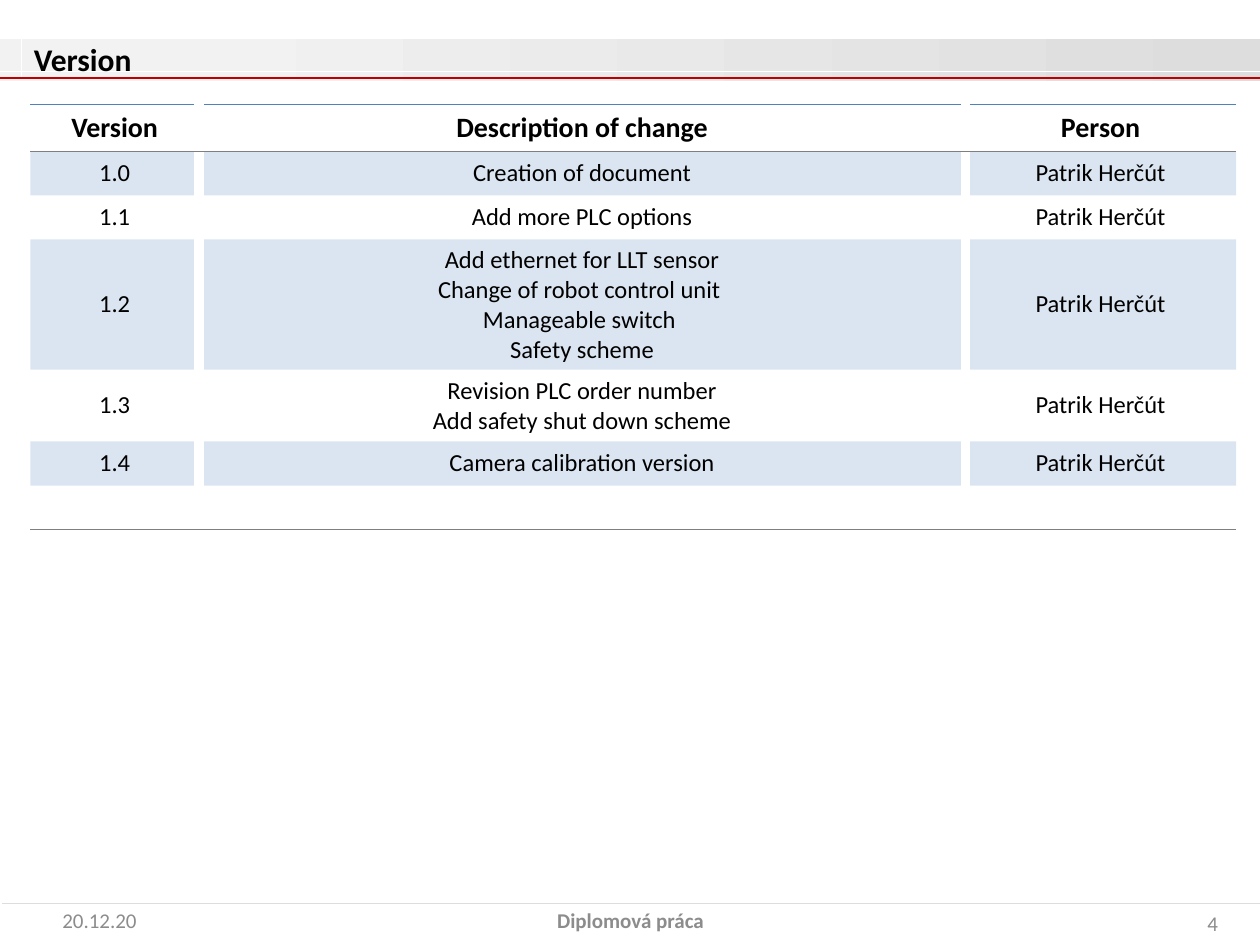
import pptx
import pptx.dml.color
import pptx.enum.shapes
import pptx.enum.text
import pptx.oxml.ns
import pptx.util
from lxml import etree

Inches = pptx.util.Inches
RGBColor = pptx.dml.color.RGBColor
Align = pptx.enum.text.PP_ALIGN
Anchor = pptx.enum.text.MSO_ANCHOR
qn = pptx.oxml.ns.qn

BLACK = RGBColor(0x00, 0x00, 0x00)
WHITE = RGBColor(0xFF, 0xFF, 0xFF)
GRAY = RGBColor(0x8C, 0x8C, 0x8C)
RULE = RGBColor(0x7F, 0x7F, 0x7F)
PALE = RGBColor(0xF2, 0xF2, 0xF2)
SILVER = RGBColor(0xDD, 0xDD, 0xDD)
RED = RGBColor(0xC0, 0x00, 0x00)
BLUE = RGBColor(0x4F, 0x81, 0xBD)
PLAIN_TABLE = "{2D5ABB26-0587-4C30-8999-92F81FD0307C}"


class Deck:
    font = "Calibri"

    def __init__(self, prs):
        self.s = prs.slides.add_slide(prs.slide_layouts[6])

    def set_text(self, tf, text, size, color=BLACK, bold=False, align=Align.CENTER):
        tf.text = text
        fmt = {"name": self.font, "size": pptx.util.Pt(size), "bold": bold}
        for p in tf.paragraphs:
            p.alignment = align
            for r in p.runs:
                for key, value in fmt.items():
                    setattr(r.font, key, value)
                r.font.color.rgb = color
            # Line breaks and empty paragraphs keep the text size too
            for br in p._p.findall(qn("a:br")):
                etree.SubElement(br, qn("a:rPr"), sz=str(size * 100))
            if not p.runs:
                etree.SubElement(p._p, qn("a:endParaRPr"), sz=str(size * 100))

    def text(self, x, y, w, h, text, size, anchor=Anchor.MIDDLE, **style):
        sp = self.s.shapes.add_textbox(Inches(x), Inches(y), Inches(w), Inches(h))
        tf = sp.text_frame
        tf.word_wrap = True
        tf.vertical_anchor = anchor
        self.set_text(tf, text, size, **style)

    def band(self, x, y, w, h, start, end):
        sp = self.s.shapes.add_shape(
            pptx.enum.shapes.MSO_SHAPE.RECTANGLE,
            Inches(x), Inches(y), Inches(w), Inches(h))
        sp.shadow.inherit = False
        sp.line.fill.background()
        sp.fill.gradient()
        sp.fill.gradient_angle = 0
        for stop, pos, color in zip(sp.fill.gradient_stops, (0.15, 1), (start, end)):
            stop.position = pos
            stop.color.rgb = color

    def line(self, x1, y1, x2, y2, color):
        c = self.s.shapes.add_connector(
            pptx.enum.shapes.MSO_CONNECTOR.STRAIGHT,
            Inches(x1), Inches(y1), Inches(x2), Inches(y2))
        c.line.color.rgb = color
        c.line.width = pptx.util.Pt(0.75)
        etree.SubElement(c._element.spPr, qn("a:effectLst"))

    def border(self, cell, side, color, width):
        ln = etree.SubElement(cell._tc.get_or_add_tcPr(), qn("a:ln" + side),
                              w=str(pptx.util.Pt(width)))
        fill = etree.SubElement(ln, qn("a:solidFill"))
        etree.SubElement(fill, qn("a:srgbClr"), val=str(color))

    def tint(self, cell, color, percent):
        cell.fill.solid()
        cell.fill.fore_color.rgb = color
        clr = cell._tc.tcPr.find(qn("a:solidFill")).find(qn("a:srgbClr"))
        etree.SubElement(clr, qn("a:alpha"), val=str(percent * 1000))

    def table(self, x, y, cols, heights, rows):
        frame = self.s.shapes.add_table(
            len(rows), len(cols), Inches(x), Inches(y),
            Inches(sum(cols)), Inches(sum(heights)))
        tbl = frame.table
        tbl._tbl.tblPr.find(qn("a:tableStyleId")).text = PLAIN_TABLE
        tbl.first_row = tbl.horz_banding = False
        for col, w in zip(tbl.columns, cols):
            col.width = Inches(w)
        for row, h in zip(tbl.rows, heights):
            row.height = Inches(h)
        last_row, last_col = len(rows) - 1, len(cols) - 1
        for i, row in enumerate(rows):
            for j, text in enumerate(row):
                cell = tbl.cell(i, j)
                head = i == 0
                self.set_text(cell.text_frame, text, 16 if head else 14, bold=head)
                cell.vertical_anchor = Anchor.TOP if head else Anchor.MIDDLE
                # White gaps between columns, rules around header and at the end
                if j > 0:
                    self.border(cell, "L", WHITE, 6)
                if j < last_col:
                    self.border(cell, "R", WHITE, 6)
                if head:
                    self.border(cell, "T", BLUE, 1)
                if i in (0, last_row):
                    self.border(cell, "B", RULE, 0.5)
                if i % 2:
                    self.tint(cell, BLUE, 20)
                else:
                    cell.fill.background()


def main():
    prs = pptx.Presentation()
    prs.slide_width, prs.slide_height = Inches(10), Inches(7.5)
    deck = Deck(prs)

    # Footer
    deck.text(0, 7.1, 1.58, 0.4, "20.12.20", 12, color=GRAY)
    deck.text(3.42, 7.1, 3.17, 0.4, "Diplomová práca", 12, color=GRAY, bold=True)
    deck.text(9.25, 7.13, 0.75, 0.4, "4", 12, color=GRAY)
    deck.line(10.01, 7.17, 0.02, 7.17, SILVER)

    # Title band
    deck.band(0, 0.31, 10, 0.33, PALE, SILVER)
    deck.line(10, 0.62, 0, 0.62, RED)
    deck.line(10, 0.57, 0, 0.57, WHITE)
    deck.line(0.17, 0.29, 0.17, 0.61, WHITE)
    deck.text(0.17, 0.27, 9.51, 0.4, "Version", 18, anchor=Anchor.TOP,
              bold=True, align=Align.LEFT)

    # Version history
    changes = [
        ("1.0", "Creation of document"),
        ("1.1", "Add more PLC options"),
        ("1.2", "Add ethernet for LLT sensor\nChange of robot control unit \v"
                "Manageable switch \nSafety scheme"),
        ("1.3", "Revision PLC order number\nAdd safety shut down scheme"),
        ("1.4", "Camera calibration version"),
    ]
    rows = [("Version", "Description of change", "Person")]
    rows += [(number, change, "Patrik Herčút") for number, change in changes]
    rows.append(("", "", ""))
    deck.table(0.24, 0.83, (1.34, 6.08, 2.15),
               (0.37, 0.35, 0.35, 1.03, 0.57, 0.35, 0.35), rows)

    prs.save("out.pptx")


if __name__ == "__main__":
    main()
